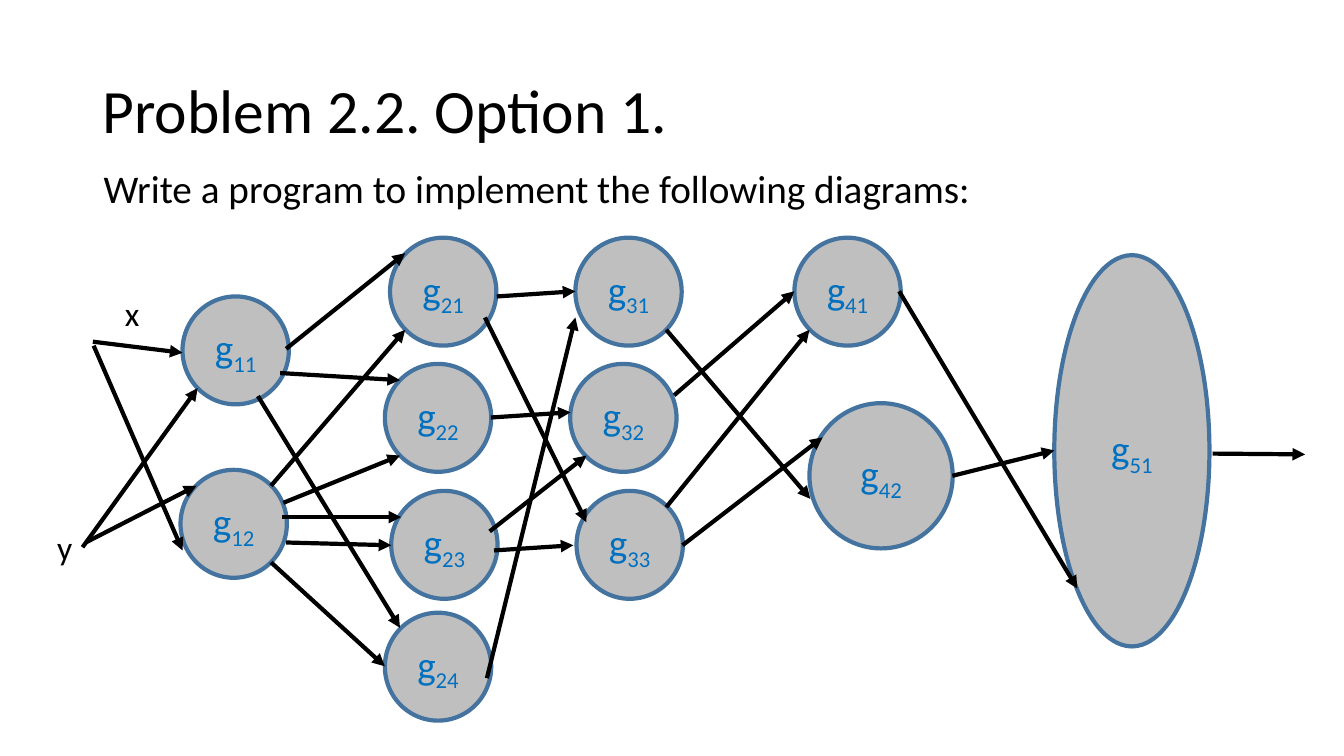
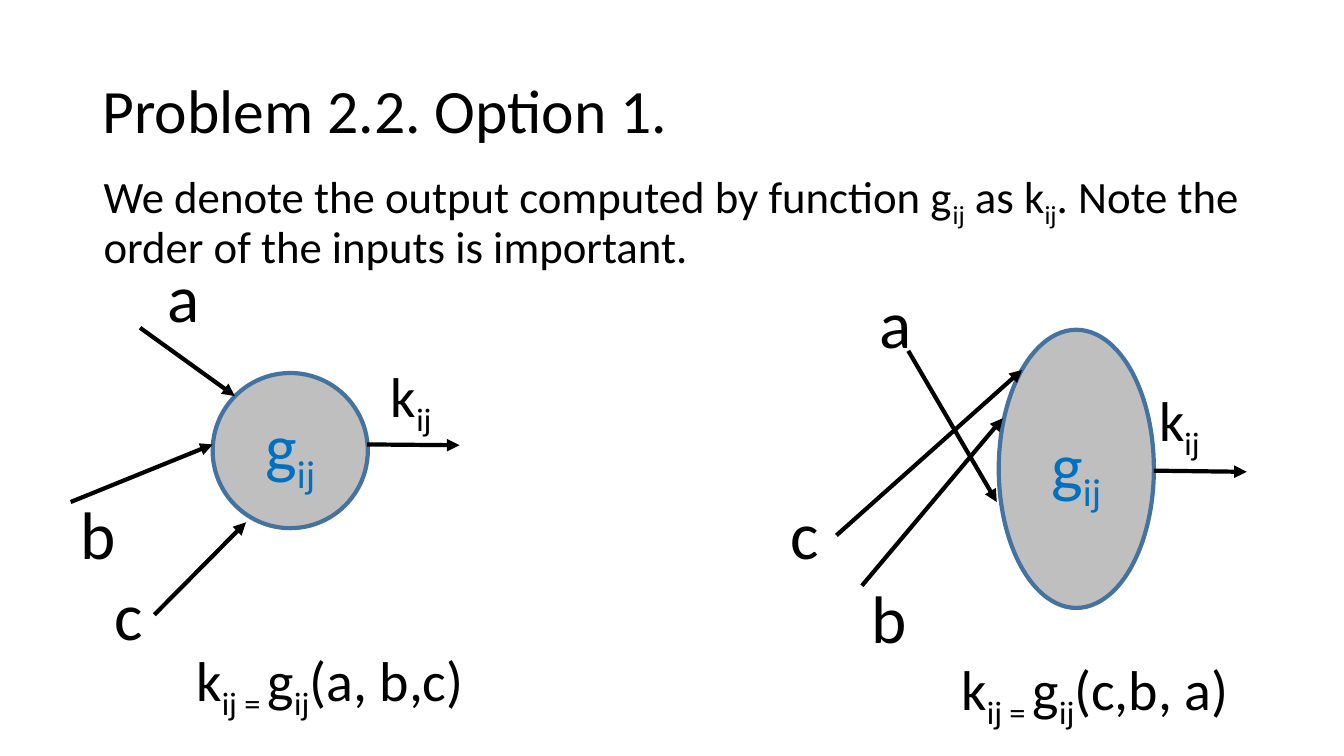
import lxml.etree
import pptx
import pptx.dml.color
import pptx.enum.shapes
import pptx.enum.text
import pptx.oxml.ns
import pptx.util

Cm = pptx.util.Cm
Pt = pptx.util.Pt
Shape = pptx.enum.shapes.MSO_SHAPE
Link = pptx.enum.shapes.MSO_CONNECTOR
Anchor = pptx.enum.text.MSO_ANCHOR
Align = pptx.enum.text.PP_ALIGN
Fit = pptx.enum.text.MSO_AUTO_SIZE
qn = pptx.oxml.ns.qn

HUES = {"ink": "000000", "disc": "BFBFBF", "rim": "43739E", "name": "0070C0"}


class Deck:
    """Holds the style and the current slide; bars in text mark subscripts."""

    font = "Calibri"
    width = Pt(3)
    box = (2.33, 1.01, 29.21, 3.68)

    def __init__(self):
        self.prs = pptx.Presentation()
        self.prs.slide_width = Cm(33.87)
        self.prs.slide_height = Cm(19.05)
        self.slide = None

    def hue(self, name):
        return pptx.dml.color.RGBColor.from_string(HUES[name])

    def words(self, frame, text, size, hue="ink", align=Align.LEFT, space=1.0):
        para = frame.paragraphs[0]
        para.alignment = align
        para.line_spacing = space
        para.space_before = Pt(0)
        for pos, part in enumerate(text.split("|")):
            if not part:
                continue
            run = para.add_run()
            run.text = part
            run.font.name = self.font
            run.font.size = Pt(size)
            run.font.color.rgb = self.hue(hue)
            if pos % 2:
                run.font._element.set("baseline", "-25000")

    def page(self, title):
        self.slide = self.prs.slides.add_slide(self.prs.slide_layouts[5])
        head = self.slide.shapes.title
        head.left, head.top, head.width, head.height = map(Cm, self.box)
        frame = head.text_frame
        frame.auto_size = Fit.NONE
        frame.vertical_anchor = Anchor.MIDDLE
        self.words(frame, title, 44, space=0.9)

    def body(self, text, size):
        box = self.slide.shapes.add_textbox(*map(Cm, (2.36, 4.14, 29.21, 12.09)))
        box.text_frame.word_wrap = True
        self.words(box.text_frame, text, size, space=0.9)

    def label(self, text, size, left, top, width, height):
        box = self.slide.shapes.add_textbox(*map(Cm, (left, top, width, height)))
        box.text_frame.word_wrap = False
        box.text_frame.auto_size = Fit.SHAPE_TO_FIT_TEXT
        self.words(box.text_frame, text, size)

    def node(self, text, left, top, width=2.68, height=2.72, size=28):
        disc = self.slide.shapes.add_shape(
            Shape.OVAL, *map(Cm, (left, top, width, height)))
        disc.shadow.inherit = False
        disc.fill.solid()
        disc.fill.fore_color.rgb = self.hue("disc")
        disc.line.color.rgb = self.hue("rim")
        disc.line.width = self.width
        disc.text_frame.vertical_anchor = Anchor.MIDDLE
        self.words(disc.text_frame, text, size, "name", Align.CENTER)

    def arrow(self, *ends):
        link = self.slide.shapes.add_connector(Link.STRAIGHT, *map(Cm, ends))
        link.line.color.rgb = self.hue("ink")
        link.line.width = self.width
        props = link._element.spPr
        tail = lxml.etree.SubElement(props.find(qn("a:ln")), qn("a:tailEnd"))
        tail.set("type", "triangle")
        lxml.etree.SubElement(props, qn("a:effectLst"))


def network(deck):
    deck.page("Problem 2.2. Option 1.")
    deck.body("Write a program to implement the following diagrams:", 28)
    deck.node("g|11", 4.6, 7.47)
    deck.node("g|12", 4.55, 11.84)
    spots = [(9.83, 5.99), (9.7, 9.17), (9.86, 12.37), (9.7, 15.44)]
    for col, count in ((2, 4), (3, 3)):
        for row, (left, top) in enumerate(spots[:count], 1):
            deck.node(f"g|{col}{row}", left + (col - 2) * 4.67, top)
    deck.node("g|41", 20.02, 5.99)
    deck.node("g|42", 20.4, 10.16, 3.61, 3.66)
    deck.node("g|51", 26.57, 6.43, 3.91, 9.86)
    for text, left, top in (("x", 2.9, 7.26), ("y", 1.19, 13.16)):
        deck.label(text, 24, left, top, 0.89, 1.27)
    for ends in (
        (2.34, 8.61, 4.6, 8.89),
        (2.36, 8.71, 4.6, 13.87),
        (2.08, 13.79, 4.98, 9.78),
        (2.16, 13.67, 4.95, 12.24),
        (7.21, 8.79, 10.21, 6.38),
        (7.06, 9.4, 10.08, 9.58),
        (6.5, 9.98, 10.08, 15.82),
        (6.83, 12.24, 10.21, 8.31),
        (7.14, 12.67, 10.08, 11.48),
        (7.11, 13.03, 10.11, 13.03),
        (7.21, 13.67, 9.86, 13.74),
        (6.83, 14.17, 9.7, 16.79),
        (12.52, 7.47, 14.5, 7.34),
        (12.22, 8, 14.78, 13.16),
        (12.37, 10.52, 14.38, 10.39),
        (12.34, 13.39, 14.78, 11.48),
        (12.45, 13.87, 14.45, 13.74),
        (12.27, 17.09, 14.5, 8),
        (16.79, 8.31, 20.42, 12.57),
        (16.99, 9.96, 20.02, 7.34),
        (16.79, 12.78, 20.4, 8.31),
        (17.2, 13.74, 20.73, 11.02),
        (22.66, 7.34, 27.15, 14.83),
        (24, 11.99, 26.57, 11.35),
        (30.56, 11.43, 32.89, 11.45),
    ):
        deck.arrow(*ends)


def order(deck):
    deck.page("Problem 2.2. Option 1.")
    deck.body("We denote the output computed by function g|ij| as k|ij|. "
              "Note the order of the inputs is important.", 32)
    deck.node("g|ij", 5.36, 9.4, 3.91, 3.91, 48)
    deck.node("g|ij", 25.17, 8.31, 3.91, 7.01, 48)
    for ends in (
        (3.53, 8.26, 5.92, 9.98),
        (1.78, 12.65, 5.36, 11.2),
        (3.89, 15.49, 6.2, 13.16),
        (9.25, 11.2, 11.58, 11.22),
        (22.89, 8.84, 25.12, 12.65),
        (21.72, 14.76, 25.27, 10.54),
        (21.08, 13.49, 25.76, 9.32),
        (29.08, 11.86, 31.42, 11.89),
    ):
        deck.arrow(*ends)
    for text, width, *spots in (
        ("a", 1.32, (3.96, 6.3), (21.92, 6.96)),
        ("b", 1.42, (1.78, 12.29), (21.72, 14.4)),
        ("c", 1.24, (2.64, 14.33), (19.66, 12.29)),
    ):
        for left, top in spots:
            deck.label(text, 48, left, top, width, 2.31)
    for args, near, foot in (
        ("(a, b,c)", (9.6, 8.99), (4.7, 16.13)),
        ("(c,b, a)", (28.96, 9.58), (23.98, 16.36)),
    ):
        deck.label("k|ij", 40, *near, 1.6, 1.96)
        deck.label("k|ij = |g|ij|" + args, 40, *foot, 7.54, 1.96)


def main():
    deck = Deck()
    network(deck)
    order(deck)
    deck.prs.save("out.pptx")


if __name__ == "__main__":
    main()
